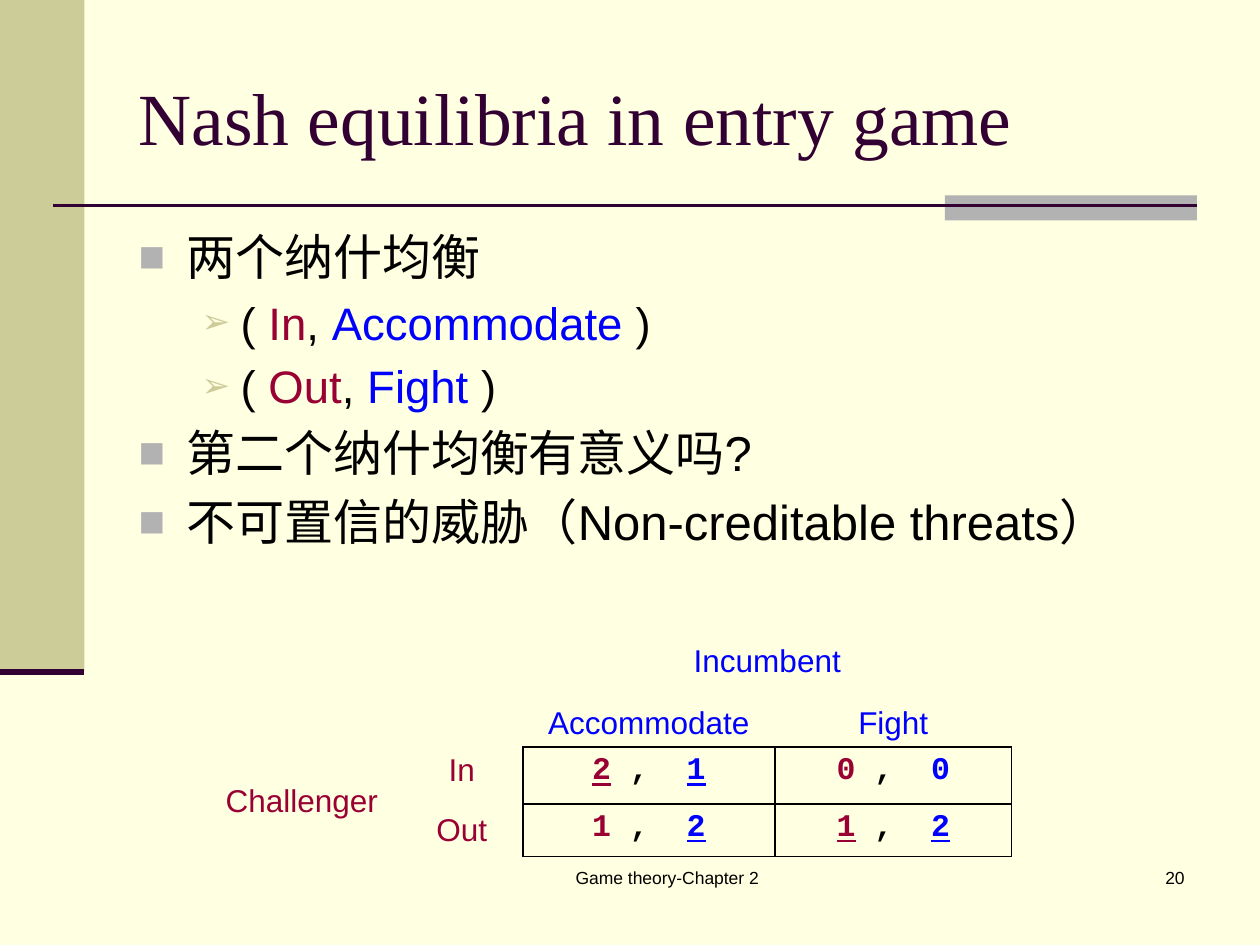
"""Build the slide on Nash equilibria in the entry game."""
from dataclasses import dataclass

from lxml.etree import SubElement
from pptx import Presentation
from pptx.dml.color import RGBColor
from pptx.enum.shapes import MSO_CONNECTOR as Connector, MSO_SHAPE as Preset
from pptx.enum.text import MSO_ANCHOR as Anchor, MSO_AUTO_SIZE as AutoSize, PP_ALIGN as Align
from pptx.oxml import parse_xml
from pptx.oxml.ns import nsdecls, qn
from pptx.util import Inches, Pt


@dataclass(frozen=True)
class Theme:
    """Colours, fonts and type sizes of the deck."""
    paper: str = "FFFFE1"
    olive: str = "CCCC99"
    grey: str = "B2B2B2"
    plum: str = "330033"
    ink: str = "000000"
    challenger: str = "990033"
    incumbent: str = "0000FF"
    serif: str = "Times New Roman"
    sans: str = "Arial"
    mono: str = "Courier New"
    title: float = 42
    item: float = 28
    subitem: float = 26
    table: float = 18
    footer: float = 10


THEME = Theme()


@dataclass(frozen=True)
class Span:
    """A stretch of text in one colour."""
    text: str
    color: str = THEME.ink
    underline: bool = False


@dataclass(frozen=True)
class Level:
    """Look of one list level."""
    size: float
    bullet: str
    color: str
    percent: int
    margin: float
    hanging: float


@dataclass(frozen=True)
class Item:
    """A list entry."""
    level: int
    spans: tuple[Span, ...]


@dataclass(frozen=True)
class Label:
    """A player or strategy name in the payoff table."""
    row: int
    column: int
    span: Span
    anchor: Anchor
    align: Align = Align.CENTER


@dataclass(frozen=True)
class Payoff:
    """Payoffs of both players, with best replies underlined."""
    row: int
    column: int
    challenger: str
    incumbent: str
    challenger_best: bool
    incumbent_best: bool


LEVELS = (
    Level(THEME.item, "■", THEME.grey, 90, 0.38, 0.38),
    Level(THEME.subitem, "➢", THEME.olive, 75, 0.81, 0.31),
)


def equilibrium(challenger: str, incumbent: str) -> Item:
    """Return a list entry naming a pair of strategies."""
    return Item(1, (Span("( "), Span(challenger, THEME.challenger), Span(", "),
                    Span(incumbent, THEME.incumbent), Span(" )")))


ITEMS = (
    Item(0, (Span("两个纳什均衡"),)),
    equilibrium("In", "Accommodate"),
    equilibrium("Out", "Fight"),
    Item(0, (Span("第二个纳什均衡有意义吗?"),)),
    Item(0, (Span("不可置信的威胁（Non-creditable threats）"),)),
)
LABELS = (
    Label(0, 2, Span("Incumbent", THEME.incumbent), Anchor.BOTTOM),
    Label(1, 2, Span("Accommodate", THEME.incumbent), Anchor.BOTTOM),
    Label(1, 3, Span("Fight", THEME.incumbent), Anchor.BOTTOM),
    Label(2, 0, Span("Challenger", THEME.challenger), Anchor.MIDDLE, Align.LEFT),
    Label(2, 1, Span("In", THEME.challenger), Anchor.TOP),
    Label(3, 1, Span("Out", THEME.challenger), Anchor.MIDDLE),
)
PAYOFFS = (
    Payoff(2, 2, "2", "1", True, True),
    Payoff(2, 3, "0", "0", False, False),
    Payoff(3, 2, "1", "2", False, True),
    Payoff(3, 3, "1", "2", True, True),
)
COLUMNS = (1.49, 0.97, 2, 1.88)
ROWS = (0.42, 0.49, 0.45, 0.42)


def write(para, *spans: Span, size: float, font: str = THEME.sans,
          bold: bool = False, align: Align = Align.LEFT) -> None:
    """Write formatted spans into a paragraph."""
    para.alignment = align
    for span in spans:
        run = para.add_run()
        run.text = span.text
        run.font.name, run.font.size, run.font.bold = font, Pt(size), bold
        run.font.underline = span.underline
        run.font.color.rgb = RGBColor.from_string(span.color)


def place(shape, left: float, top: float, width: float, height: float) -> None:
    """Move and size a shape in inches."""
    shape.left, shape.top = Inches(left), Inches(top)
    shape.width, shape.height = Inches(width), Inches(height)


def add_bar(page, color: str, *bounds: float) -> None:
    """Draw a plain filled rectangle."""
    bar = page.shapes.add_shape(Preset.RECTANGLE, *map(Inches, bounds))
    bar.shadow.inherit = False
    bar.fill.solid()
    bar.fill.fore_color.rgb = RGBColor.from_string(color)
    bar.line.fill.background()


def add_rule(page, left: float, right: float, top: float, weight: float) -> None:
    """Draw a horizontal rule."""
    rule = page.shapes.add_connector(
        Connector.STRAIGHT, Inches(left), Inches(top), Inches(right), Inches(top))
    rule.line.color.rgb = RGBColor.from_string(THEME.plum)
    rule.line.width = Pt(weight)
    SubElement(rule.element.spPr, qn("a:effectLst"))


def add_footer(page, text: str, left: float, width: float, align: Align) -> None:
    """Add a small text at the foot of the page."""
    box = page.shapes.add_textbox(Inches(left), Inches(6.83), Inches(width), Inches(0.5))
    box.text_frame.word_wrap = True
    write(box.text_frame.paragraphs[0], Span(text), size=THEME.footer, align=align)


def set_bullet(para, level: Level) -> None:
    """Give a paragraph the indent and bullet of its level."""
    para.space_before = Pt(level.size * 0.2)
    props = para._p.get_or_add_pPr()
    props.set("marL", str(Inches(level.margin)))
    props.set("indent", str(-Inches(level.hanging)))
    SubElement(SubElement(props, qn("a:buClr")), qn("a:srgbClr"), val=level.color)
    SubElement(props, qn("a:buSzPct"), val=str(level.percent * 1000))
    SubElement(props, qn("a:buFont"), typeface=THEME.sans)
    SubElement(props, qn("a:buChar"), char=level.bullet)


def fill_title(title) -> None:
    """Place and write the title."""
    place(title, 1, 0.3, 8.5, 1.25)
    title.text_frame.auto_size = AutoSize.NONE
    title.text_frame.vertical_anchor = Anchor.MIDDLE
    write(title.text_frame.paragraphs[0], Span("Nash equilibria in entry game", THEME.plum),
          size=THEME.title, font=THEME.serif)


def fill_body(body) -> None:
    """Place and write the list."""
    place(body, 1, 1.75, 8.5, 3.02)
    frame = body.text_frame
    frame.auto_size = AutoSize.NONE
    for index, item in enumerate(ITEMS):
        para = frame.add_paragraph() if index else frame.paragraphs[0]
        para.level = item.level
        level = LEVELS[item.level]
        write(para, *item.spans, size=level.size)
        set_bullet(para, level)


def set_borders(cell) -> None:
    """Draw a thin line on all four sides of a cell."""
    props = cell._tc.get_or_add_tcPr()
    for index, side in enumerate("LRTB"):
        props.insert(index, parse_xml(
            f'<a:ln{side} {nsdecls("a")} w="{Pt(1)}"><a:solidFill>'
            f'<a:srgbClr val="{THEME.ink}"/></a:solidFill></a:ln{side}>'))


def add_payoff_table(page) -> None:
    """Add the payoff matrix with its labels."""
    frame = page.shapes.add_table(len(ROWS), len(COLUMNS), Inches(1.69), Inches(5.02),
                                  Inches(sum(COLUMNS)), Inches(sum(ROWS)))
    table = frame.table
    table.first_row = table.horz_banding = False
    for style in frame.element.iter(qn("a:tableStyleId")):
        style.text = "{2D5ABB26-0587-4C30-8999-92F81FD0307C}"
    for column, width in zip(table.columns, COLUMNS):
        column.width = Inches(width)
    for row, height in zip(table.rows, ROWS):
        row.height = Inches(height)
    for cell in table.iter_cells():
        cell.fill.background()
    for start, end in (((0, 0), (0, 1)), ((0, 2), (0, 3)), ((2, 0), (3, 0))):
        table.cell(*start).merge(table.cell(*end))
    for label in LABELS:
        cell = table.cell(label.row, label.column)
        cell.vertical_anchor = label.anchor
        write(cell.text_frame.paragraphs[0], label.span, size=THEME.table, align=label.align)
    for payoff in PAYOFFS:
        cell = table.cell(payoff.row, payoff.column)
        set_borders(cell)
        write(cell.text_frame.paragraphs[0],
              Span(payoff.challenger, THEME.challenger, payoff.challenger_best),
              Span(" ,  "),
              Span(payoff.incumbent, THEME.incumbent, payoff.incumbent_best),
              size=THEME.table, font=THEME.mono, bold=True, align=Align.CENTER)


def main() -> None:
    """Build and save the deck."""
    deck = Presentation()
    deck.slide_width, deck.slide_height = Inches(10), Inches(7.5)
    page = deck.slides.add_slide(deck.slide_layouts[1])
    page.background.fill.solid()
    page.background.fill.fore_color.rgb = RGBColor.from_string(THEME.paper)
    add_bar(page, THEME.olive, 0, 0, 0.67, 5.33)
    add_bar(page, THEME.grey, 7.5, 1.55, 2, 0.2)
    add_rule(page, 0.42, 9.5, 1.63, 1.5)
    add_rule(page, 0, 0.67, 5.33, 3.5)
    add_footer(page, "Game theory-Chapter 2", 3.67, 3.25, Align.CENTER)
    add_footer(page, "20", 7.42, 2.08, Align.RIGHT)
    fill_title(page.shapes.title)
    fill_body(page.placeholders[1])
    add_payoff_table(page)
    deck.save("out.pptx")


if __name__ == "__main__":
    main()
